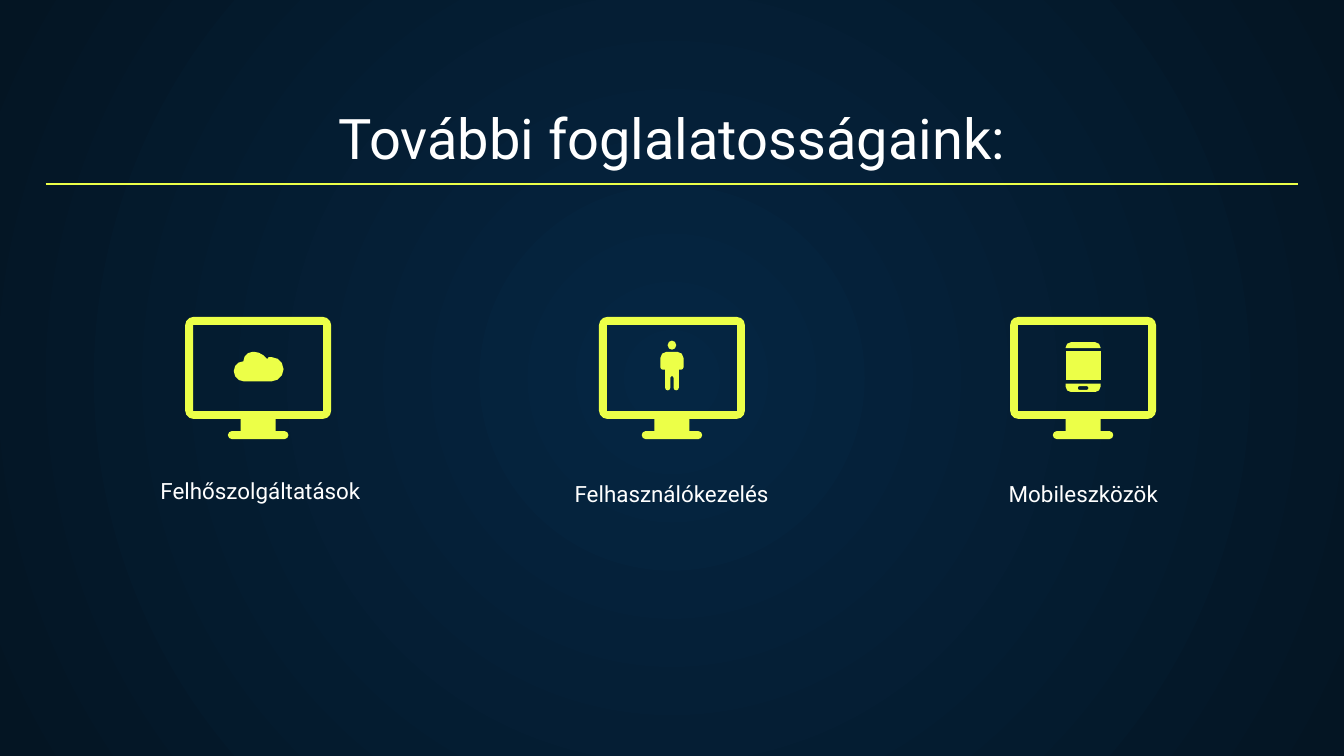
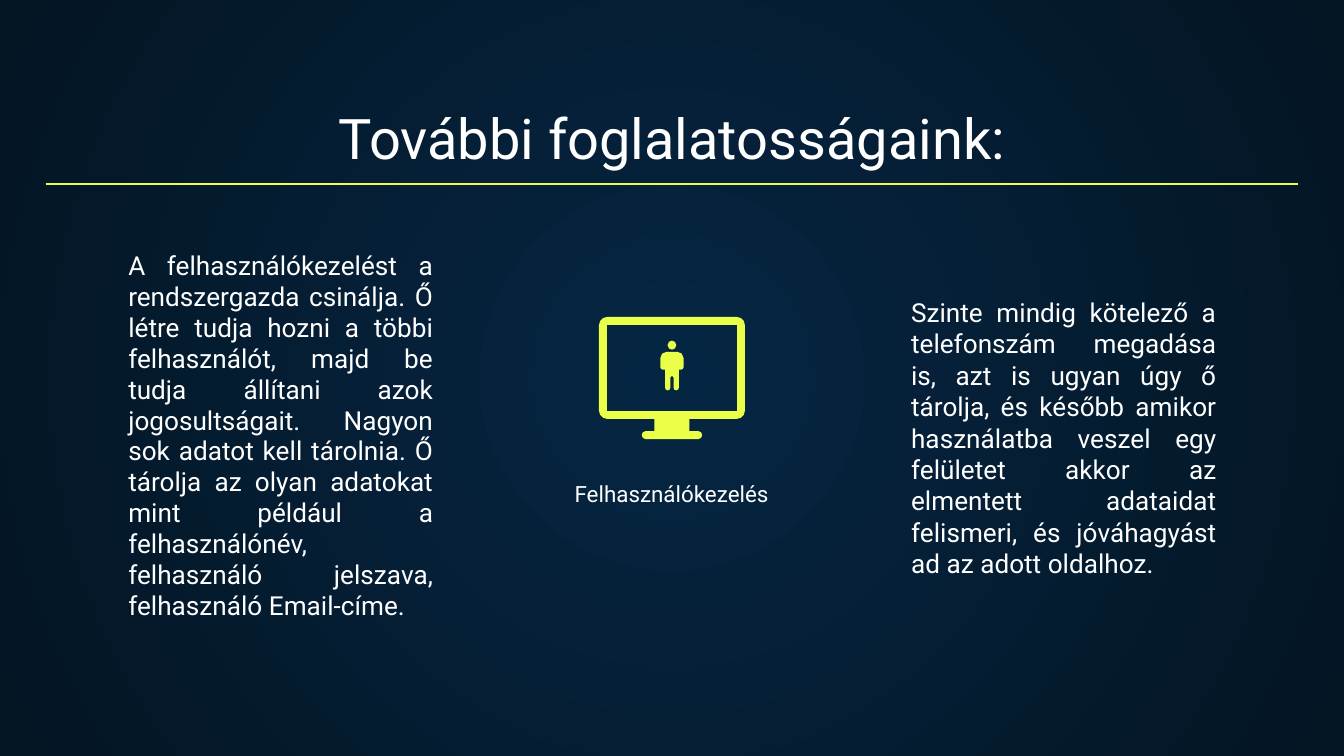
"""Build the two slides about further activities."""
import lxml.etree
import pptx
import pptx.dml.color
import pptx.enum.shapes
import pptx.enum.text
import pptx.oxml.ns
import pptx.util

Cm = pptx.util.Cm
ANCHOR = pptx.enum.text.MSO_ANCHOR
ALIGN = pptx.enum.text.PP_ALIGN

LIME, WHITE = "ECFF48", "FFFFFF"
GRADIENT = {0: "052643", 1: "041523"}
FONT = "Roboto"
MONITOR_TOP = 5.99
LABEL_WIDTH, BODY_WIDTH = 5.77, 6.27
WIDE_RADIUS, ARC_PULL = 0.12, 0.55

TITLE = "További foglalatosságaink:"
USERS_TEXT = (
    "A felhasználókezelést a rendszergazda csinálja. Ő létre tudja hozni a többi "
    "felhasználót, majd be tudja állítani azok jogosultságait. Nagyon sok adatot "
    "kell tárolnia. Ő tárolja az olyan adatokat mint például a felhasználónév, "
    "felhasználó jelszava, felhasználó Email-címe. "
)
PHONE_TEXT = (
    "Szinte mindig kötelező a telefonszám megadása is, azt is ugyan úgy ő tárolja, "
    "és később amikor használatba veszel egy felületet akkor az elmentett adataidat "
    "felismeri, és jóváhagyást ad az adott oldalhoz."
)


def mirrored(*right_half):
    """Complete a symmetric outline from its right half of (x, y, radius) corners."""
    return [*right_half, *((-x, y, radius) for x, y, radius in reversed(right_half))]


def bar(half_width, top, bottom, top_radius=0, bottom_radius=0):
    """Return a centred rectangle outline with rounded ends."""
    return mirrored((half_width, top, top_radius), (half_width, bottom, bottom_radius))


MONITOR = [[
    mirrored((1.38, 0, 0.16), (1.38, 1.93, 0.16), (0.33, 1.93, 0),
             (0.33, 2.16, 0), (0.57, 2.16, 0.07), (0.57, 2.31, 0.07)),
    bar(1.23, 0.15, 1.78),
]]
CLOUD = [[[
    (-0.46, 1.22, 0.19), (-0.46, 0.84, 0.18), (-0.28, 0.84, 0),
    (-0.28, 0.66, 0.18), (0.08, 0.66, 0.16), (0.17, 0.8, 0),
    (0.2, 0.76, 0), (0.48, 0.76, 0.23), (0.48, 1.22, 0.23),
]]]
PERSON = [
    [bar(0.08, 0.45, 0.62, 0.08, 0.08)],
    [mirrored((0.22, 0.66, 0.12), (0.22, 1, 0.05), (0.13, 1, 0),
              (0.13, 1.39, 0.05), (0.03, 1.39, 0.05), (0.03, 1.12, 0.03))],
]
PHONE = [
    [bar(0.33, 0.48, 0.59, 0.1)],
    [bar(0.33, 0.65, 1.19)],
    [bar(0.33, 1.26, 1.42, 0, 0.1), bar(0.1, 1.31, 1.38, 0.03, 0.03)],
]


def colour(hex_value):
    """Turn a hex string into a colour."""
    return pptx.dml.color.RGBColor.from_string(hex_value)


def apply(target, values):
    """Set each attribute of the target from a dict."""
    for name, value in values.items():
        setattr(target, name, value)


def add_element(parent, tag, **attributes):
    """Append an XML child with a prefixed tag."""
    return lxml.etree.SubElement(parent, pptx.oxml.ns.qn(tag), attributes)


def toward(start, end, distance):
    """Return the point at a distance from start on the way to end."""
    length = ((end[0] - start[0]) ** 2 + (end[1] - start[1]) ** 2) ** 0.5
    return [start[axis] + (end[axis] - start[axis]) * distance / length for axis in (0, 1)]


def rounded(corners):
    """Trace an outline whose corners are replaced by short arcs."""
    points = []
    for index, corner in enumerate(corners):
        radius = corner[2]
        if not radius:
            points.append(corner[:2])
            continue
        first = toward(corner, corners[index - 1], radius)
        last = toward(corner, corners[(index + 1) % len(corners)], radius)
        pull_first = toward(corner, first, radius * (1 - ARC_PULL))
        pull_last = toward(corner, last, radius * (1 - ARC_PULL))
        steps = 3 if radius > WIDE_RADIUS else 2
        for step in range(steps + 1):
            t = step / steps
            weights = ((1 - t) ** 3, 3 * t * (1 - t) ** 2, 3 * t * t * (1 - t), t ** 3)
            curve = (first, pull_first, pull_last, last)
            points.append([sum(w * p[axis] for w, p in zip(weights, curve)) for axis in (0, 1)])
    return points


def add_outline(slide, contours, centre):
    """Draw one filled shape, later contours being holes."""
    builder = None
    for corners in contours:
        traced = [(Cm(round(centre + x, 3)), Cm(round(MONITOR_TOP + y, 3)))
                  for x, y in rounded(corners)]
        points = list(dict.fromkeys(traced))
        if builder is None:
            builder = slide.shapes.build_freeform(*points[0], scale=1.0)
        else:
            builder.move_to(*points[0])
        builder.add_line_segments(points[1:], close=True)
    shape = builder.convert_to_shape()
    shape.shadow.inherit = False
    shape.fill.solid()
    shape.fill.fore_color.rgb = colour(LIME)
    shape.line.fill.background()
    return shape


def add_icon(slide, pieces, centre):
    """Draw the pieces of an icon and group them when there are several."""
    shapes = [add_outline(slide, contours, centre) for contours in pieces]
    if len(shapes) > 1:
        slide.shapes.add_group_shape(shapes)


def write(frame, text, size, alignment):
    """Put one formatted paragraph into a text frame."""
    paragraph = frame.paragraphs[0]
    paragraph.alignment = alignment
    run = paragraph.add_run()
    run.text = text
    apply(run.font, {"name": FONT, "size": pptx.util.Pt(size)})
    run.font.color.rgb = colour(WHITE)


def add_text(slide, text, box, size, alignment=ALIGN.CENTER, **frame_values):
    """Add a wrapping text box."""
    frame = slide.shapes.add_textbox(*map(Cm, box)).text_frame
    apply(frame, {"word_wrap": True, **frame_values})
    write(frame, text, size, alignment)


def add_heading(slide, text, box, size, anchor=ANCHOR.BOTTOM):
    """Add a centred heading with equal insets."""
    insets = {f"margin_{side}": Cm(0.25) for side in ("left", "top", "right", "bottom")}
    add_text(slide, text, box, size, vertical_anchor=anchor, **insets)


def add_rule(slide, left, right, top):
    """Add the thin line under the title."""
    line = slide.shapes.add_connector(
        pptx.enum.shapes.MSO_CONNECTOR.STRAIGHT, Cm(left), Cm(top), Cm(right), Cm(top))
    line.line.width = pptx.util.Pt(0.75)
    line.line.color.rgb = colour(LIME)
    add_element(line.element.spPr, "a:effectLst")


def add_text_table(slide, text, box):
    """Add a one-cell table without fill or borders."""
    table = slide.shapes.add_table(1, 1, *map(Cm, box)).table
    apply(table, {"first_row": False, "horz_banding": False})
    cell = table.cell(0, 0)
    write(cell.text_frame, text, 14, ALIGN.JUSTIFY)
    properties = cell._tc.get_or_add_tcPr()
    for side in "LRTB":
        add_element(add_element(properties, f"a:ln{side}"), "a:noFill")
    cell.fill.background()


def set_background(slide):
    """Fill the slide with the circular gradient."""
    fill = slide.background.fill
    fill.gradient()
    for stop, (position, hex_value) in zip(fill.gradient_stops, GRADIENT.items()):
        stop.position = position
        stop.color.rgb = colour(hex_value)
    gradient = slide.element.xpath(".//p:bg//a:gradFill")[0]
    for linear in gradient.findall(pptx.oxml.ns.qn("a:lin")):
        gradient.remove(linear)
    circle = add_element(gradient, "a:path", path="circle")
    add_element(circle, "a:fillToRect", **dict.fromkeys("ltrb", "50000"))


def add_titled_slide(presentation):
    """Add a blank slide with the shared background, title and rule."""
    slide = presentation.slides.add_slide(presentation.slide_layouts[6])
    set_background(slide)
    add_heading(slide, TITLE, (0.87, 1.8, 23.67, 1.68), 30)
    add_rule(slide, 0.86, 24.54, 3.48)
    return slide


def add_service(slide, name, icon, centre, label_corner, label_height, anchor=ANCHOR.BOTTOM):
    """Add a monitor with its icon and the label below."""
    add_heading(slide, name, (*label_corner, LABEL_WIDTH, label_height), 12, anchor)
    add_icon(slide, MONITOR, centre)
    add_icon(slide, icon, centre)


def main():
    """Build and save the presentation."""
    presentation = pptx.Presentation()
    apply(presentation, {"slide_width": Cm(25.4), "slide_height": Cm(14.29)})
    users = ("Felhasználókezelés", PERSON, 12.7, (9.81, 8.84), 1)

    overview = add_titled_slide(presentation)
    add_service(overview, "Felhőszolgáltatások", CLOUD, 4.88, (2.04, 8.43), 1.68, ANCHOR.MIDDLE)
    add_service(overview, *users)
    add_service(overview, "Mobileszközök", PHONE, 20.47, (17.59, 8.79), 1.04)

    details = add_titled_slide(presentation)
    add_service(details, *users)
    add_text_table(details, USERS_TEXT, (2.17, 4.62, BODY_WIDTH, 7.35))
    add_text(details, PHONE_TEXT, (16.97, 5.48, BODY_WIDTH, 5.64), 14, ALIGN.JUSTIFY,
             auto_size=pptx.enum.text.MSO_AUTO_SIZE.SHAPE_TO_FIT_TEXT)

    presentation.save("out.pptx")


if __name__ == "__main__":
    main()
